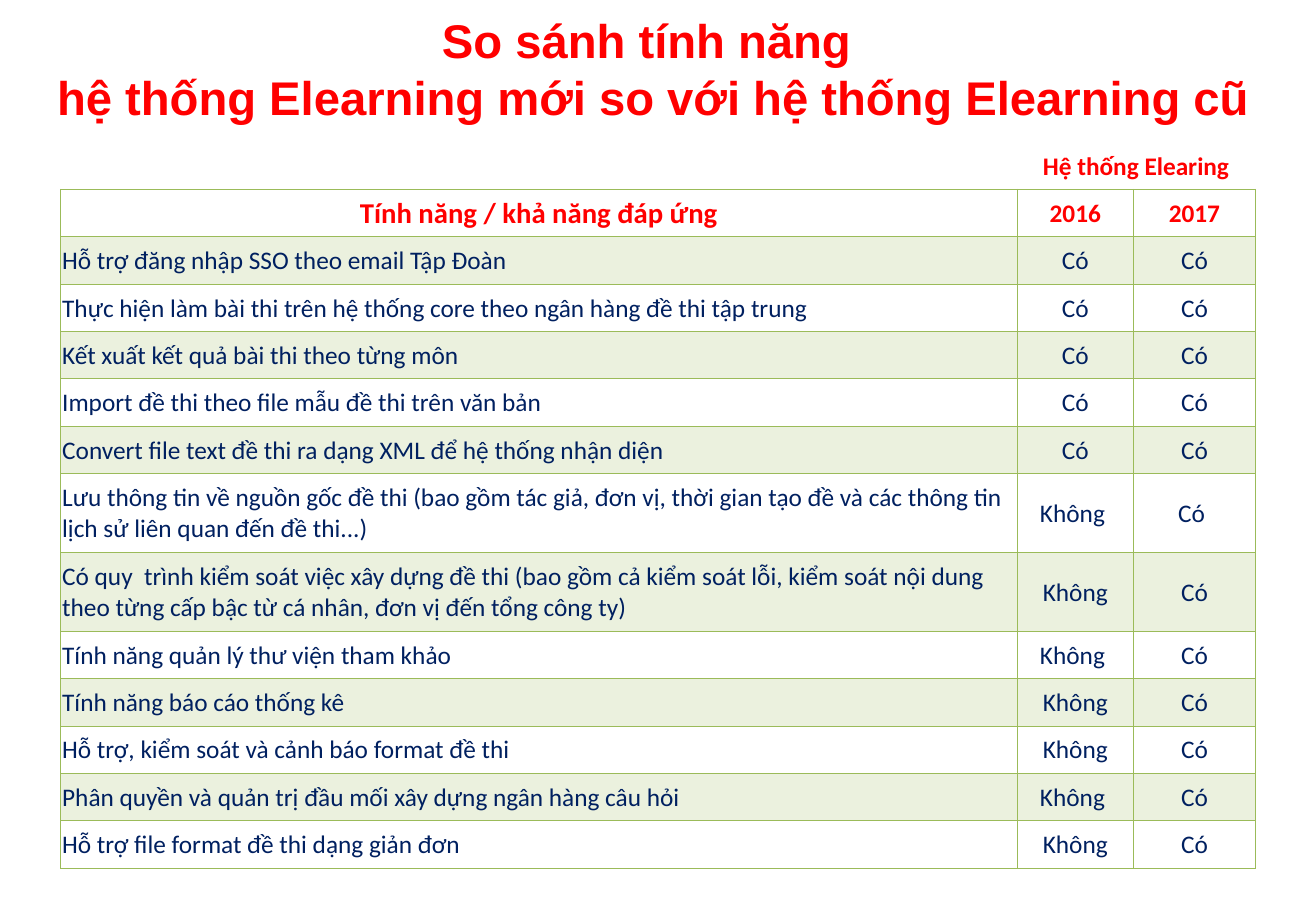
from dataclasses import dataclass

import lxml.etree
import pptx
import pptx.dml.color
import pptx.enum.text
import pptx.oxml.ns
import pptx.slide
import pptx.table
import pptx.text.text
import pptx.util
from pptx.util import Cm

ALIGN = pptx.enum.text.PP_ALIGN
MIDDLE = pptx.enum.text.MSO_ANCHOR.MIDDLE
qualified = pptx.oxml.ns.qn


@dataclass(frozen=True)
class Theme:
    accent: str = "FF0000"
    body: str = "002060"
    band: str = "EBF1DE"
    border: str = "9BBB59"
    title_font: str = "Arial"
    table_font: str = "Calibri"
    title_size: int = 28
    heading_size: int = 17
    table_size: int = 15
    border_width: float = 0.5


@dataclass(frozen=True)
class Feature:
    name: str
    old: str = "Có"
    new: str = "Có"
    height: float = 0.99


THEME = Theme()
TITLE = "So sánh tính năng \vhệ thống Elearning mới so với hệ thống Elearning cũ"
GROUP_HEADING = "Hệ thống Elearing"
HEADINGS = ("Tính năng / khả năng đáp ứng", "2016", "2017")
COLUMN_WIDTHS = (19.99, 2.44, 2.54)
ROW_HEIGHT = 0.99
TALL_ROW = 1.65
FEATURES = (
    Feature("Hỗ trợ đăng nhập SSO theo email Tập Đoàn"),
    Feature("Thực hiện làm bài thi trên hệ thống core theo ngân hàng đề thi tập trung"),
    Feature("Kết xuất kết quả bài thi theo từng môn"),
    Feature("Import đề thi theo file mẫu đề thi trên văn bản"),
    Feature("Convert file text đề thi ra dạng XML để hệ thống nhận diện"),
    Feature("Lưu thông tin về nguồn gốc đề thi (bao gồm tác giả, đơn vị, thời gian tạo đề "
            "và các thông tin lịch sử liên quan đến đề thi...)", "Không ", "Có ", TALL_ROW),
    Feature("Có quy  trình kiểm soát việc xây dựng đề thi (bao gồm cả kiểm soát lỗi, "
            "kiểm soát nội dung theo từng cấp bậc từ cá nhân, đơn vị đến tổng công ty)",
            "Không", height=TALL_ROW),
    Feature("Tính năng quản lý thư viện tham khảo", "Không "),
    Feature("Tính năng báo cáo thống kê", "Không"),
    Feature("Hỗ trợ, kiểm soát và cảnh báo format đề thi", "Không"),
    Feature("Phân quyền và quản trị đầu mối xây dựng ngân hàng câu hỏi", "Không "),
    Feature("Hỗ trợ file format đề thi dạng giản đơn", "Không"),
)


def format_runs(paragraph: pptx.text.text._Paragraph, font: str, size: int,
                color: str, bold: bool) -> None:
    for run in paragraph.runs:
        run.font.name = font
        run.font.size = pptx.util.Pt(size)
        run.font.bold = bold
        run.font.color.rgb = pptx.dml.color.RGBColor.from_string(color)


def set_borders(cell: pptx.table._Cell, visible: str) -> None:
    """Draw the sides named in visible (letters of LRTB) and clear the others."""
    properties = cell._tc.get_or_add_tcPr()
    for side in "LRTB":
        line = lxml.etree.SubElement(properties, qualified(f"a:ln{side}"),
                                     w=str(pptx.util.Pt(THEME.border_width)))
        if side in visible:
            fill = lxml.etree.SubElement(line, qualified("a:solidFill"))
            lxml.etree.SubElement(fill, qualified("a:srgbClr"), val=THEME.border)
        else:
            lxml.etree.SubElement(line, qualified("a:noFill"))


def fill_cell(cell: pptx.table._Cell, text: str, *, heading: bool = False,
              size: int = THEME.table_size, centred: bool = True,
              banded: bool = False, borders: str = "LRTB") -> None:
    cell.text_frame.text = text
    cell.vertical_anchor = MIDDLE
    cell.margin_left = cell.margin_right = cell.margin_top = Cm(0.03)
    cell.margin_bottom = Cm(0)
    paragraph = cell.text_frame.paragraphs[0]
    paragraph.alignment = ALIGN.CENTER if centred else ALIGN.LEFT
    format_runs(paragraph, THEME.table_font, size,
                THEME.accent if heading else THEME.body, heading)
    set_borders(cell, borders)
    if banded:
        cell.fill.solid()
        cell.fill.fore_color.rgb = pptx.dml.color.RGBColor.from_string(THEME.band)
    else:
        cell.fill.background()


def add_title(slide: pptx.slide.Slide) -> None:
    title = slide.shapes.title
    title.left, title.top, title.width, title.height = Cm(-0.2), Cm(0.64), Cm(27.7), Cm(1.57)
    frame = title.text_frame
    frame.text = TITLE
    frame.word_wrap = True
    frame.auto_size = pptx.enum.text.MSO_AUTO_SIZE.NONE
    frame.vertical_anchor = MIDDLE
    paragraph = frame.paragraphs[0]
    paragraph.alignment = ALIGN.CENTER
    format_runs(paragraph, THEME.title_font, THEME.title_size, THEME.accent, True)
    for line_break in paragraph._p.findall(qualified("a:br")):
        lxml.etree.SubElement(line_break, qualified("a:rPr"), sz=str(THEME.title_size * 100))


def add_feature_table(slide: pptx.slide.Slide) -> None:
    heights = [ROW_HEIGHT] * 2 + [feature.height for feature in FEATURES]
    table = slide.shapes.add_table(
        len(heights), len(COLUMN_WIDTHS), Cm(1.27), Cm(2.97),
        Cm(sum(COLUMN_WIDTHS)), Cm(sum(heights))).table
    table.first_row = table.horz_banding = False
    for column, width in zip(table.columns, COLUMN_WIDTHS):
        column.width = Cm(width)
    for row, height in zip(table.rows, heights):
        row.height = Cm(height)

    for index, text in enumerate(("", GROUP_HEADING, "")):
        fill_cell(table.cell(0, index), text, heading=True, borders="B")
    table.cell(0, 1).merge(table.cell(0, 2))
    for index, text in enumerate(HEADINGS):
        size = THEME.table_size if index else THEME.heading_size
        fill_cell(table.cell(1, index), text, heading=True, size=size)
    for number, feature in enumerate(FEATURES):
        for index, text in enumerate((feature.name, feature.old, feature.new)):
            fill_cell(table.cell(number + 2, index), text,
                      centred=index > 0, banded=number % 2 == 0)


def main() -> None:
    presentation = pptx.Presentation()
    presentation.slide_width, presentation.slide_height = Cm(27.51), Cm(19.05)
    slide = presentation.slides.add_slide(presentation.slide_layouts[5])
    add_title(slide)
    add_feature_table(slide)
    presentation.save("out.pptx")


if __name__ == "__main__":
    main()
